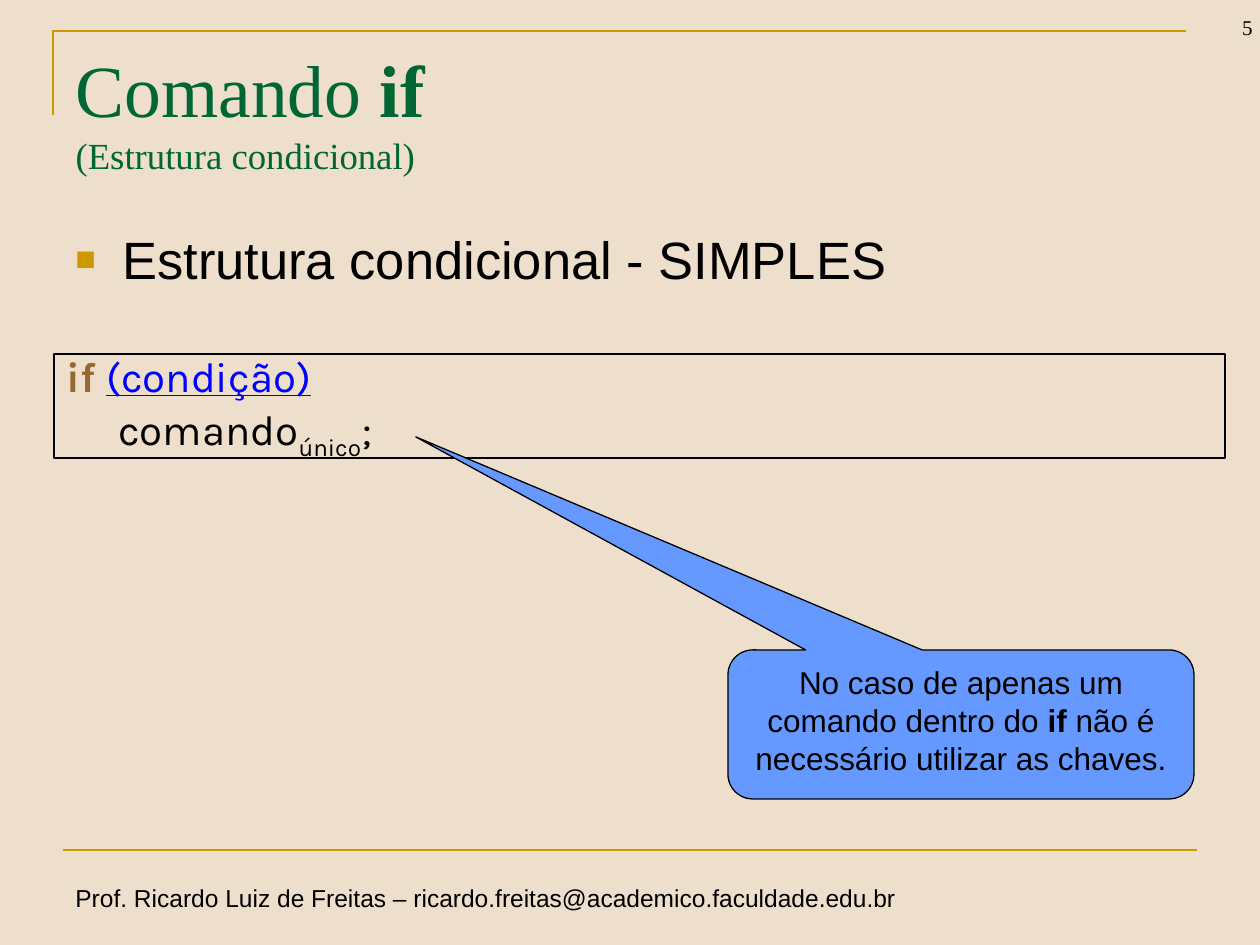
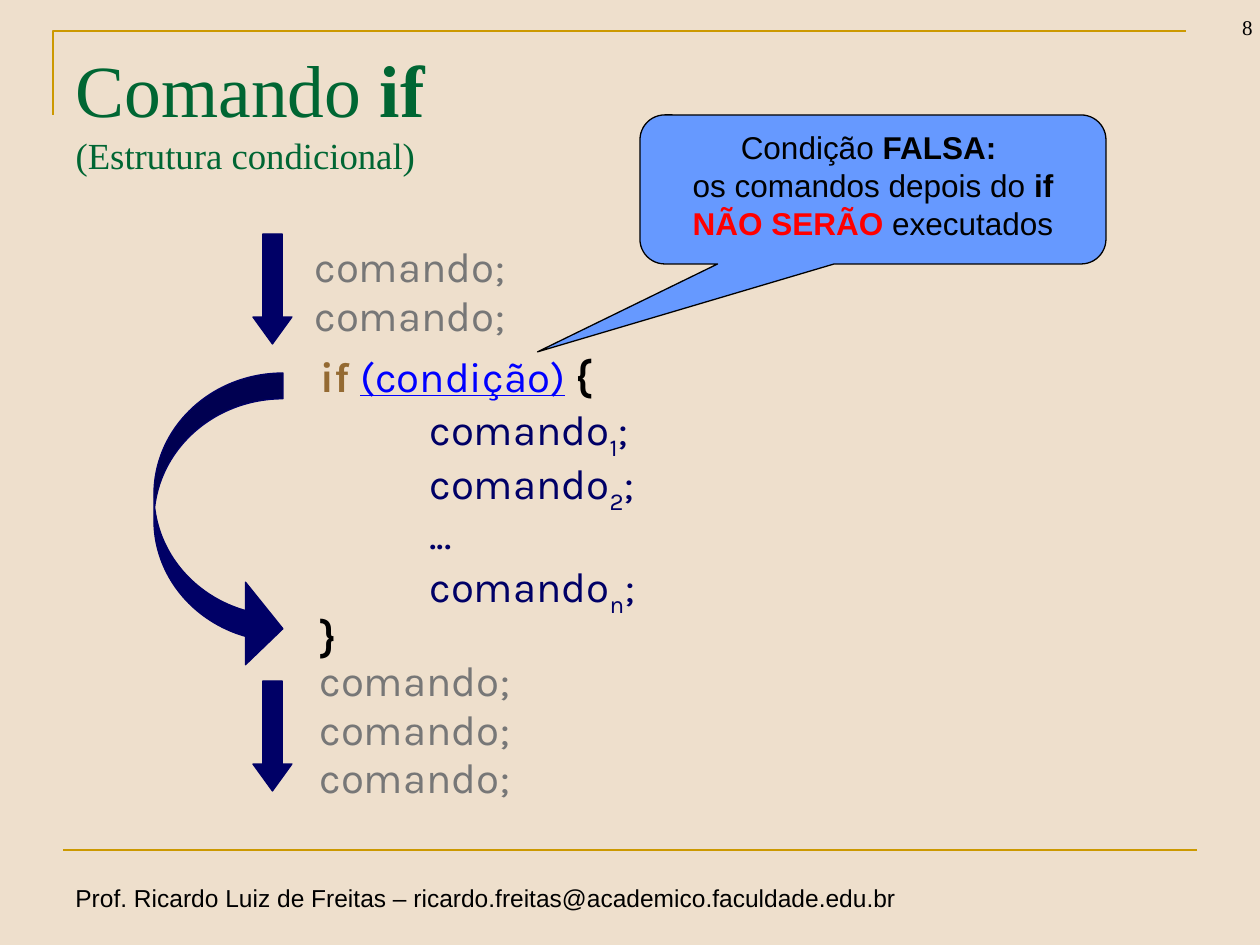
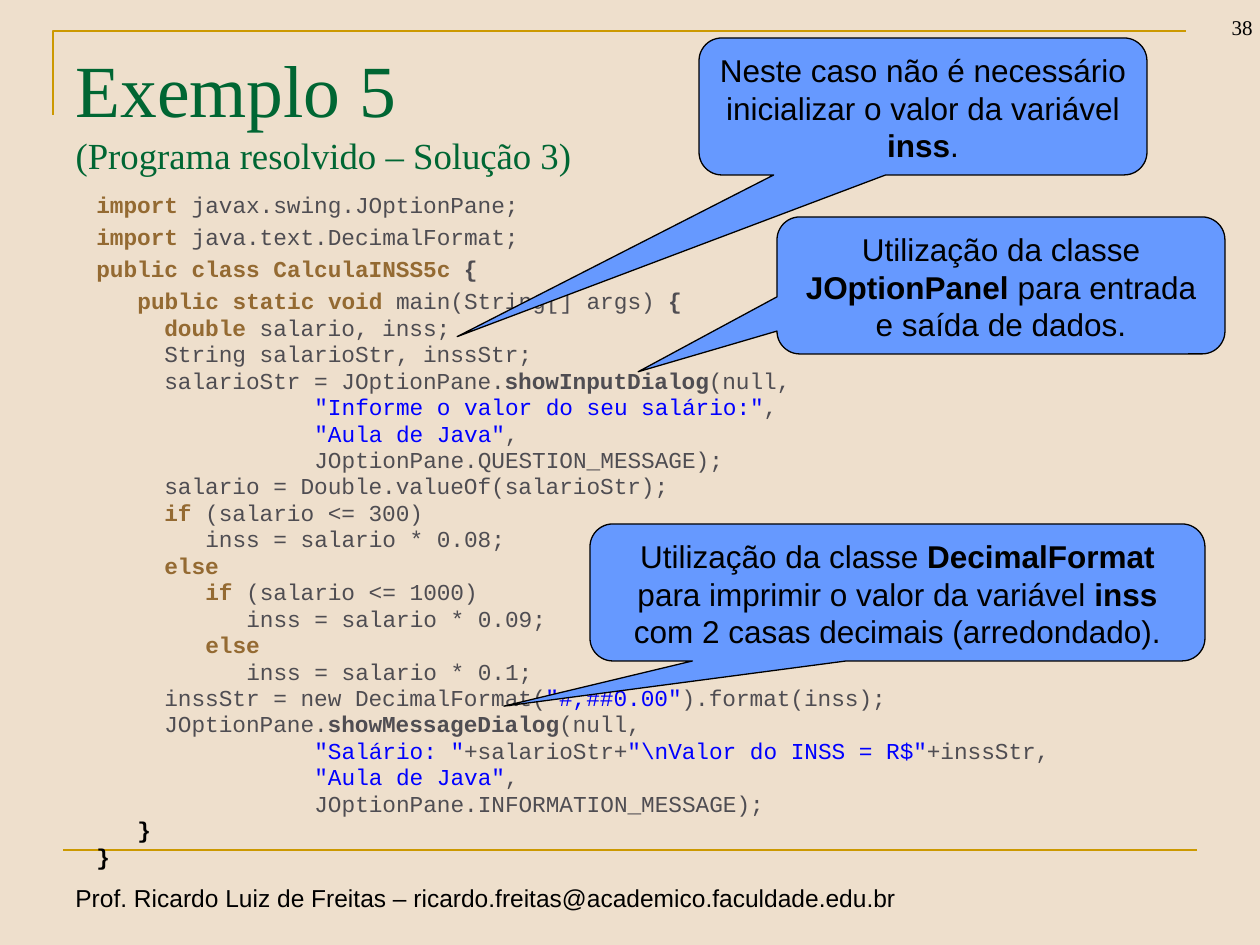
from lxml.etree import SubElement
from pptx import Presentation
from pptx.dml.color import RGBColor
from pptx.enum.shapes import MSO_CONNECTOR as LINK, MSO_SHAPE as SHAPE
from pptx.enum.text import MSO_ANCHOR as ANCHOR, PP_ALIGN as ALIGN
from pptx.oxml.ns import qn
from pptx.util import Pt

SCALE = 914400 / 126
rgb = RGBColor.from_string

SAND, GOLD, GREEN, BLACK = "EEDFCC", "CC9900", "006633", "000000"
BROWN, BLUE, NAVY, RED = "946A32", "0000FF", "000066", "FF0000"
SKY, GRAY, CODE_GRAY = "6699FF", "777777", "4F4D52"
SERIF, SANS, ROUND, MONO = "Times New Roman", "Arial", "Karla", "Courier New"
FOOTER = "Prof. Ricardo Luiz de Freitas – ricardo.freitas@academico.faculdade.edu.br"

STYLES = {
    "bold": {"bold": True},
    "small": {"size": Pt(21)},
    "keyword": {"bold": True, "color": BROWN},
    "string": {"color": BLUE},
    "condition": {"color": BLUE, "underline": True},
    "brace": {"bold": True, "color": BLACK},
    "alert": {"bold": True, "color": RED},
    "sub": {"baseline": "-25000"},
}


def px(*lengths):
    return [round(length * SCALE) for length in lengths]


def write(frame, paragraphs, font, size, color, align=ALIGN.LEFT, spacing=None, before=0):
    frame.word_wrap = True
    frame.vertical_anchor = ANCHOR.TOP
    for number, (indent, parts) in enumerate(paragraphs):
        paragraph = frame.add_paragraph() if number else frame.paragraphs[0]
        paragraph.alignment = align
        paragraph.line_spacing = spacing
        paragraph.space_before = Pt(before)
        if indent:
            paragraph._p.get_or_add_pPr().set("marL", str(px(indent)[0]))
        for part in parts:
            text, style = (part, "") if isinstance(part, str) else part
            if text == "\n":
                paragraph.add_line_break()
                continue
            look = STYLES.get(style, {})
            run = paragraph.add_run()
            run.text = text
            run.font.name = font
            run.font.size = look.get("size", Pt(size))
            run.font.bold = look.get("bold", False)
            run.font.underline = look.get("underline", False)
            run.font.color.rgb = rgb(look.get("color", color))
            if "baseline" in look:
                run._r.get_or_add_rPr().set("baseline", look["baseline"])


deck = Presentation()
deck.slide_width, deck.slide_height = px(1260, 945)
deck.slide_master.background.fill.solid()
deck.slide_master.background.fill.fore_color.rgb = rgb(SAND)

command_title = ["Comando ", ("if", "bold"), ("\n", ""), ("(Estrutura condicional)", "small")]
example_title = ["Exemplo 5 ", ("\n", ""), ("(Programa resolvido – Solução 3)", "small")]

slides = []
for page, heading in [("5", command_title), ("8", command_title), ("38", example_title)]:
    slide = deck.slides.add_slide(deck.slide_layouts[5])
    slides.append(slide)
    title = slide.shapes.title
    title.left, title.top, title.width, title.height = px(63, 38, 1134, 157)
    write(title.text_frame, [(0, heading)], SERIF, 42, GREEN)

    builder = slide.shapes.build_freeform(*px(53, 115))
    builder.add_line_segments([px(53, 31), px(1186, 31)], close=False)
    corner = builder.convert_to_shape()
    corner.shadow.inherit = False
    corner.fill.background()
    rule = slide.shapes.add_connector(LINK.STRAIGHT, *px(63, 850, 1197, 850))
    SubElement(rule._element.spPr, qn("a:effectLst"))
    for border in (corner, rule):
        border.line.color.rgb = rgb(GOLD)
        border.line.width = Pt(1.5)

    footer = slide.shapes.add_textbox(*px(63, 877, 864, 43))
    write(footer.text_frame, [(0, [FOOTER])], SANS, 14, BLACK)
    page_number = slide.shapes.add_textbox(*px(1171, -17, 94, 63))
    write(page_number.text_frame, [(0, [page])], SERIF, 12, BLACK, ALIGN.RIGHT)
    page_number.text_frame.vertical_anchor = ANCHOR.BOTTOM

simple_slide, false_slide, example_slide = slides

topic = simple_slide.shapes.add_textbox(*px(63, 221, 1134, 83))
write(topic.text_frame, [(47, ["Estrutura condicional - SIMPLES"])], SANS, 30, BLACK, before=6)
topic_props = topic.text_frame.paragraphs[0]._p.get_or_add_pPr()
topic_props.set("indent", str(px(-47)[0]))
SubElement(SubElement(topic_props, qn("a:buClr")), qn("a:srgbClr")).set("val", GOLD)
SubElement(topic_props, qn("a:buSzPct")).set("val", "65000")
SubElement(topic_props, qn("a:buFont")).set("typeface", SANS)
SubElement(topic_props, qn("a:buChar")).set("char", "■")

syntax = simple_slide.shapes.add_shape(SHAPE.RECTANGLE, *px(54, 354, 1171, 104))
syntax.shadow.inherit = False
syntax.fill.background()
syntax.line.color.rgb = rgb(BLACK)
syntax.line.width = Pt(0.75)
condition = [("if ", "keyword"), ("(condição)", "condition")]
write(syntax.text_frame, [(0, condition), (52, ["comando", ("único", "sub"), ";"])],
      ROUND, 24, BLACK, spacing=0.8, before=4.8)

block = [(0, condition + [" ", ("{", "brace")])]
for index in ("1", "2", None, "n"):
    block.append((109, ["comando", (index, "sub"), ";"] if index else ["..."]))
block.append((0, [("}", "brace")]))
for place, lines, color in [
    ((308, 354, 576, 307), block, NAVY),
    ((307, 658, 224, 155), [(0, ["comando;"])] * 3, GRAY),
    ((302, 244, 258, 105), [(0, ["comando;"])] * 2, GRAY),
]:
    commands = false_slide.shapes.add_textbox(*px(*place))
    write(commands.text_frame, lines, ROUND, 24, color, spacing=0.8, before=4.8)

for kind, place, bends in [
    (SHAPE.DOWN_ARROW, (253, 234, 39, 110), (0.5, 0.69)),
    (SHAPE.DOWN_ARROW, (253, 681, 39, 110), (0.5, 0.69)),
    (SHAPE.CURVED_RIGHT_ARROW, (154, 373, 129, 297), (0.2, 0.64, 0.29)),
]:
    flow = false_slide.shapes.add_shape(kind, *px(*place))
    flow.shadow.inherit = False
    flow.fill.solid()
    flow.fill.fore_color.rgb = rgb(NAVY)
    flow.line.color.rgb = rgb(NAVY)
    flow.line.width = Pt(0.75)
    for number, bend in enumerate(bends):
        flow.adjustments[number] = bend

opening = [
    (0, [("import ", "keyword"), "javax.swing.JOptionPane;"]),
    (0, [("import ", "keyword"), "java.text.DecimalFormat;"]),
    (0, [("public class CalculaINSS5c ", "keyword"), ("{", "bold")]),
    (3, [("public static void ", "keyword"), "main(String[] args) ", ("{", "bold")]),
]
body = [
    (5, [("double ", "keyword"), "salario, inss;"]),
    (5, ["String salarioStr, inssStr;"]),
    (5, ["salarioStr = JOptionPane.", ("showInputDialog", "bold"), "(null,"]),
    (16, [('"Informe o valor do seu salário:"', "string"), ","]),
    (16, [('"Aula de Java"', "string"), ","]),
    (16, ["JOptionPane.QUESTION_MESSAGE);"]),
    (5, ["salario = Double.valueOf(salarioStr);"]),
    (5, [("if ", "keyword"), "(salario <= 300)"]),
    (8, ["inss = salario * 0.08;"]),
    (5, [("else", "keyword")]),
    (8, [("if", "keyword"), " (salario <= 1000)"]),
    (11, ["inss = salario * 0.09;"]),
    (8, [("else", "keyword")]),
    (11, ["inss = salario * 0.1;"]),
    (5, ["inssStr = new DecimalFormat(", ('"#,##0.00"', "string"), ").format(inss);"]),
    (5, ["JOptionPane.", ("showMessageDialog", "bold"), "(null,"]),
    (16, [('"Salário: "', "string"), "+salarioStr+",
          ('"\\nValor do INSS = R$"', "string"), "+inssStr,"]),
    (16, [('"Aula de Java"', "string"), ","]),
    (16, ["JOptionPane.INFORMATION_MESSAGE);"]),
    (3, [("}", "brace")]),
    (0, [("}", "brace")]),
]
COLUMN = 13.65
program = [(round(columns * COLUMN), parts) for columns, parts in opening + body]
listing = example_slide.shapes.add_textbox(*px(84, 185, 1113, 735))
write(listing.text_frame, program, MONO, 13, CODE_GRAY, before=2.6)
for paragraph in listing.text_frame.paragraphs[len(opening):]:
    paragraph.line_spacing = 0.8

for slide, place, tail, remarks in [
    (simple_slide, (728, 650, 466, 149), (-1.17, -1.93),
     [["No caso de apenas um comando dentro do ", ("if", "bold"),
       " não é necessário utilizar as chaves."]]),
    (false_slide, (640, 115, 466, 149), (-0.72, 1.09),
     [["Condição", (" FALSA: ", "bold")],
      ["os comandos depois do ", ("if ", "bold"), ("NÃO SERÃO", "alert"), " executados"]]),
    (example_slide, (777, 217, 448, 137), (-0.81, 0.63),
     [["Utilização da classe ", ("JOptionPanel", "bold"), " para entrada e saída de dados."]]),
    (example_slide, (699, 38, 448, 137), (-1.04, 1.68),
     [["Neste caso não é necessário inicializar o valor da variável ", ("inss", "bold"), "."]]),
    (example_slide, (590, 524, 615, 137), (-0.64, 0.83),
     [["Utilização da classe ", ("DecimalFormat", "bold"),
       " para imprimir o valor da variável ", ("inss", "bold"),
       " com 2 casas decimais (arredondado)."]]),
]:
    callout = slide.shapes.add_shape(SHAPE.ROUNDED_RECTANGULAR_CALLOUT, *px(*place))
    callout.shadow.inherit = False
    callout.adjustments[0], callout.adjustments[1] = tail
    callout.fill.solid()
    callout.fill.fore_color.rgb = rgb(SKY)
    callout.line.color.rgb = rgb(BLACK)
    callout.line.width = Pt(0.75)
    write(callout.text_frame, [(0, remark) for remark in remarks], SANS, 18, BLACK, ALIGN.CENTER)

deck.save("out.pptx")
